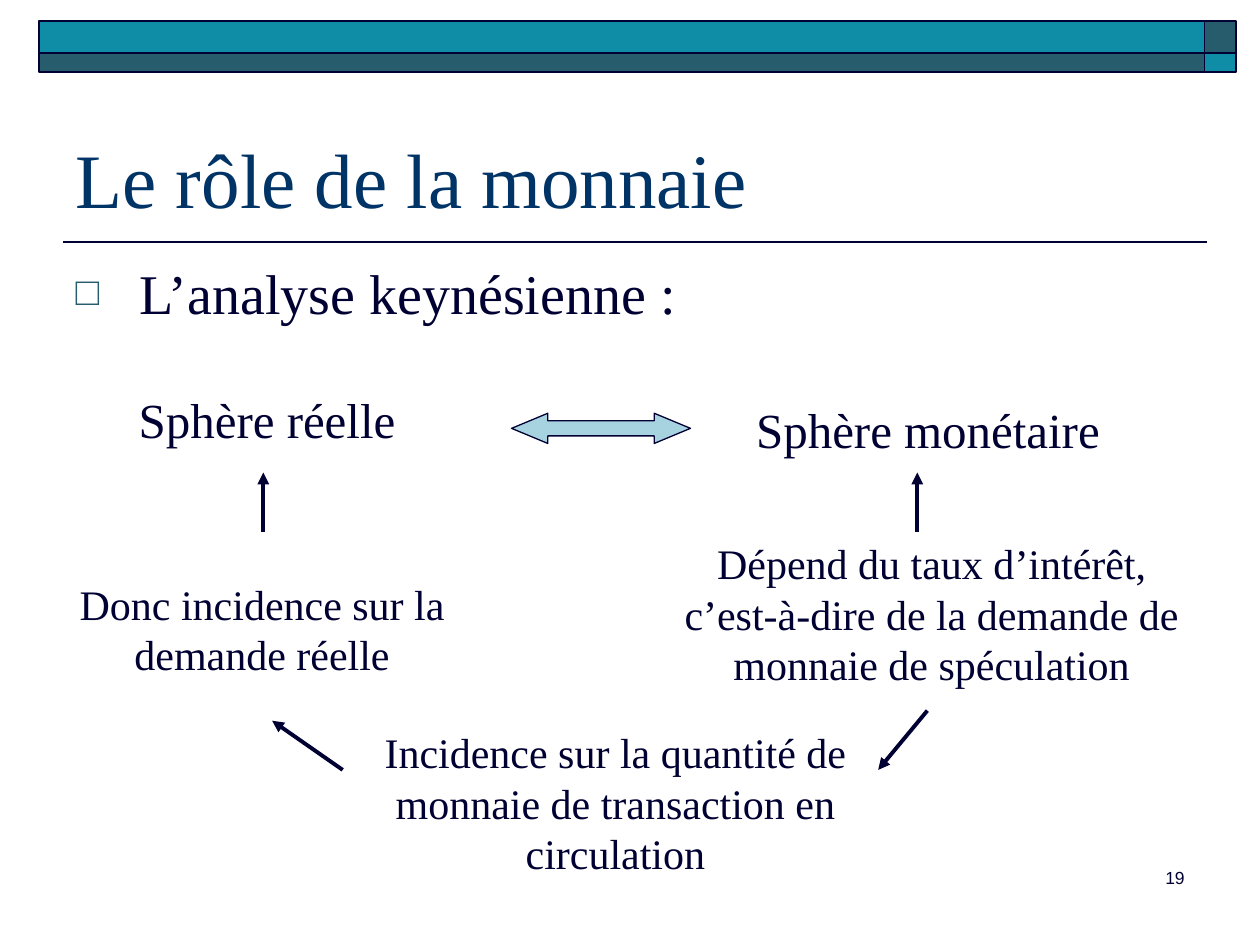
import pptx
import pptx.util
import pptx.dml.color
import pptx.enum.shapes
import pptx.enum.text
import pptx.oxml
import pptx.oxml.ns

COLORS = {"ink": "000033", "title": "003366", "teal": "108DA6", "slate": "275C6D", "pale": "A7D2DF"}
SERIF = "Times New Roman"
ALIGN = pptx.enum.text.PP_ALIGN
SHAPE = pptx.enum.shapes.MSO_SHAPE
rgb = {name: pptx.dml.color.RGBColor.from_string(code) for name, code in COLORS.items()}

deck = pptx.Presentation()
deck.slide_width = pptx.util.Inches(10)
deck.slide_height = pptx.util.Inches(7.5)
slide = deck.slides.add_slide(deck.slide_layouts[1])


def share(*percents):
    sides = (deck.slide_width, deck.slide_height) * 2
    return [round(side * percent / 100) for side, percent in zip(sides, percents)]


def write(box, text, size, color="ink", font=SERIF, align=ALIGN.LEFT):
    box.text_frame.text = text
    box.text_frame.word_wrap = True
    paragraph = box.text_frame.paragraphs[0]
    paragraph.alignment = align
    paragraph.space_before = pptx.util.Pt(0)
    run_font = paragraph.runs[0].font
    run_font.name = font
    run_font.size = pptx.util.Pt(size)
    run_font.color.rgb = rgb[color]
    return paragraph


blocks = [
    (SHAPE.RECTANGLE, (95.6, 2.2, 2.5, 3.4), "slate", 1),
    (SHAPE.RECTANGLE, (3.1, 2.2, 92.5, 3.4), "teal", 1),
    (SHAPE.RECTANGLE, (3.1, 5.6, 92.5, 2), "slate", 1),
    (SHAPE.RECTANGLE, (95.6, 5.6, 2.5, 2), "teal", 1),
    (SHAPE.LEFT_RIGHT_ARROW, (40.6, 43.73, 14.2, 3.2), "pale", 0.75),
]
for kind, area, color, weight in blocks:
    block = slide.shapes.add_shape(kind, *share(*area))
    block.shadow.inherit = False
    block.fill.solid()
    block.fill.fore_color.rgb = rgb[color]
    block.line.color.rgb = rgb["ink"]
    block.line.width = pptx.util.Pt(weight)
    if kind == SHAPE.LEFT_RIGHT_ARROW:
        block.adjustments[0] = 0.5
        block.adjustments[1] = 1.2

title = slide.shapes.title
title.left, title.top, title.width, title.height = share(5, 7.73, 90, 16.67)
title.text_frame.vertical_anchor = pptx.enum.text.MSO_ANCHOR.BOTTOM
write(title, "Le rôle de la monnaie", 44, "title")

analysis = slide.placeholders[1]
analysis.left, analysis.top, analysis.width, analysis.height = share(5, 26.67, 90, 62.67)
heading = write(analysis, "L’analyse keynésienne :", 32)
properties = heading._p.get_or_add_pPr()
properties.set("marL", str(pptx.util.Inches(0.51)))
properties.set("indent", str(-pptx.util.Inches(0.51)))
namespace = pptx.oxml.ns.nsdecls("a")
for bullet in (
    f'<a:buClr {namespace}><a:srgbClr val="{COLORS["slate"]}"/></a:buClr>',
    f'<a:buSzPct {namespace} val="70000"/>',
    f'<a:buFont {namespace} typeface="Arial"/>',
    f'<a:buChar {namespace} char="□"/>',
):
    properties.append(pptx.oxml.parse_xml(bullet))

labels = [
    ("Sphère réelle", (9, 40.53, 24.4, 7.6), 28),
    ("Sphère monétaire", (58.7, 41.6, 29.9, 7.6), 28),
    ("Dépend du taux d’intérêt, c’est-à-dire de la demande de monnaie de spéculation",
     (53.1, 56.27, 41.7, 17.33), 24),
    ("Incidence sur la quantité de monnaie de transaction en circulation",
     (28, 76.27, 41.7, 17.33), 24),
    ("Donc incidence sur la demande réelle", (2.7, 60.53, 36.2, 12), 24),
]
for text, area, size in labels:
    write(slide.shapes.add_textbox(*share(*area)), text, size, align=ALIGN.CENTER)

page_number = slide.shapes.add_textbox(*share(74.2, 91.07, 20.8, 6.67))
write(page_number, "19", 10, font="Arial", align=ALIGN.RIGHT)

links = [
    ((95.8, 25.6, 5, 25.6), 1, False),
    ((72.8, 56.27, 72.8, 50), 2.25, True),
    ((73.6, 75.2, 69.7, 81.47), 2.25, True),
    ((27.2, 81.47, 21.6, 76.27), 2.25, True),
    ((20.9, 56.27, 20.9, 50), 2.25, True),
]
for ends, weight, pointed in links:
    link = slide.shapes.add_connector(pptx.enum.shapes.MSO_CONNECTOR.STRAIGHT, *share(*ends))
    link.line.color.rgb = rgb["ink"]
    link.line.width = pptx.util.Pt(weight)
    link._element.spPr.append(pptx.oxml.parse_xml(f"<a:effectLst {namespace}/>"))
    if pointed:
        link.line._get_or_add_ln().append(
            pptx.oxml.parse_xml(f'<a:tailEnd {namespace} type="triangle"/>'))

deck.save("out.pptx")
